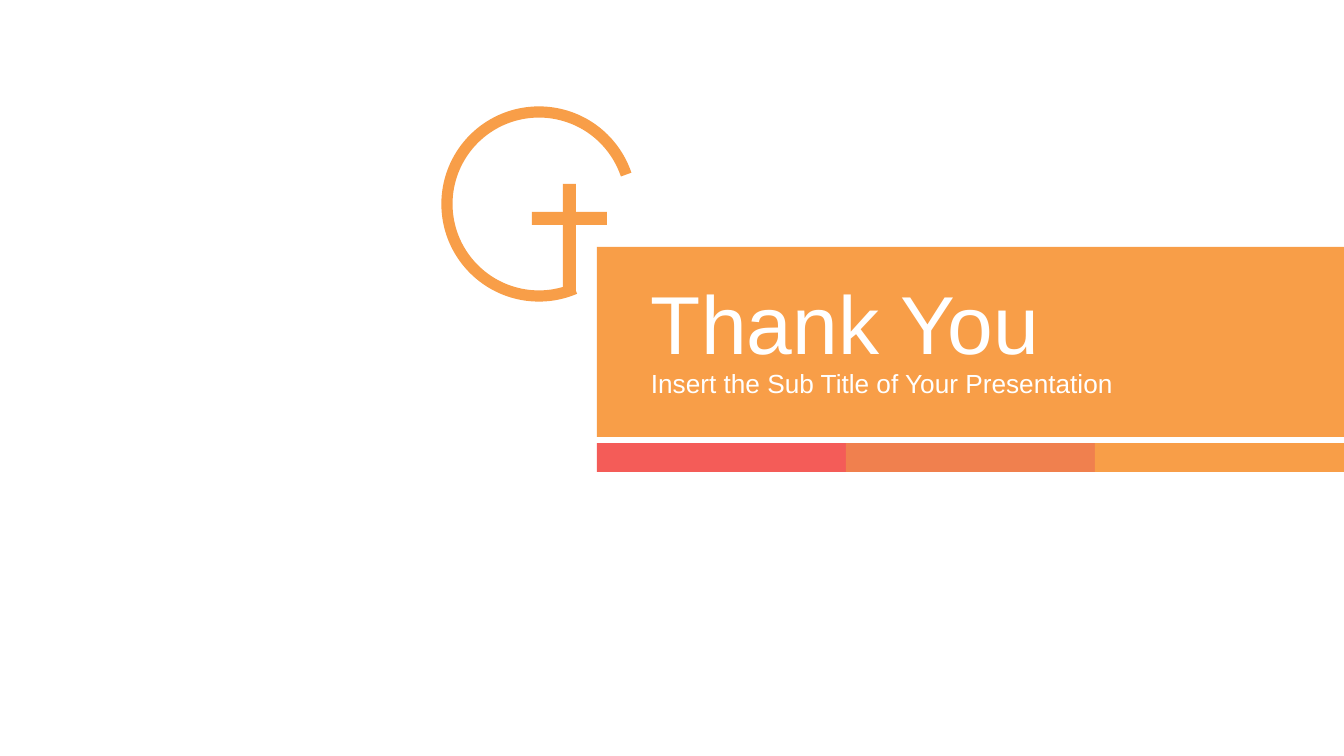
from pptx import Presentation
from pptx.dml.color import RGBColor
from pptx.enum.shapes import MSO_SHAPE
from pptx.enum.text import MSO_ANCHOR, PP_ALIGN
from pptx.util import Pt

RECT, ARC = MSO_SHAPE.RECTANGLE, MSO_SHAPE.ARC
MIDDLE, LEFT = MSO_ANCHOR.MIDDLE, PP_ALIGN.LEFT

# Content: lengths in px, boxes as left, top, width, height
COLORS = {"orange": "F89E48", "coral": "F0804E", "red": "F45C58", "white": "FFFFFF"}
FONT = "Arial"
SLIDE_W, SLIDE_H = 1344, 756
BAND_LEFT, BAND_TOP, BAND_H = 597, 247, 190
STRIP_TOP, STRIP_H = 443, 29
STRIP_COLORS = ["red", "coral", "orange"]
TEXT_LEFT = 641
HEADINGS = [  # text, size in points, top, height
    ("Thank You", 58.7, 267, 110),
    ("Insert the Sub Title of Your Presentation", 18.7, 362, 42),
]
CROSS_BARS = [(563, 184, 13, 110), (532, 212, 75, 13)]
RING = {"box": (447, 112, 184, 184), "rotation": 20.4, "angles": (27.91, 192.58), "width": 8}

EMU_PER_PX = 914400 / 100.8


def emu(*lengths):
    return [round(length * EMU_PER_PX) for length in lengths]


def color(name):
    return RGBColor.from_string(COLORS[name])


def add_block(slide, box, fill):
    block = slide.shapes.add_shape(RECT, *emu(*box))
    block.shadow.inherit = False
    block.fill.solid()
    block.fill.fore_color.rgb = color(fill)
    block.line.fill.background()


def add_heading(slide, text, size, box):
    heading = slide.shapes.add_textbox(*emu(*box))
    frame = heading.text_frame
    frame.word_wrap = True
    frame.vertical_anchor = MIDDLE
    paragraph = frame.paragraphs[0]
    paragraph.alignment = LEFT
    run = paragraph.add_run()
    run.text = text
    for attribute, value in {"name": FONT, "size": Pt(size)}.items():
        setattr(run.font, attribute, value)
    run.font.color.rgb = color("white")


def add_ring(slide):
    ring = slide.shapes.add_shape(ARC, *emu(*RING["box"]))
    ring.shadow.inherit = False
    ring.rotation = RING["rotation"]
    for index, angle in enumerate(RING["angles"]):
        ring.adjustments[index] = angle
    ring.fill.background()
    ring.line.color.rgb = color("orange")
    ring.line.width = Pt(RING["width"])


def main():
    prs = Presentation()
    prs.slide_width, prs.slide_height = emu(SLIDE_W, SLIDE_H)
    slide = prs.slides.add_slide(prs.slide_layouts[6])

    # Title band, running to the right edge
    band_w = SLIDE_W - BAND_LEFT
    add_block(slide, (BAND_LEFT, BAND_TOP, band_w, BAND_H), "orange")
    for text, size, top, height in HEADINGS:
        add_heading(slide, text, size, (TEXT_LEFT, top, SLIDE_W - TEXT_LEFT, height))

    # Cross inside an open ring
    for bar in CROSS_BARS:
        add_block(slide, bar, "orange")
    add_ring(slide)

    # Colour strip split evenly below the band
    part_w = band_w / len(STRIP_COLORS)
    for index, fill in enumerate(STRIP_COLORS):
        add_block(slide, (BAND_LEFT + index * part_w, STRIP_TOP, part_w, STRIP_H), fill)

    prs.save("out.pptx")


if __name__ == "__main__":
    main()
